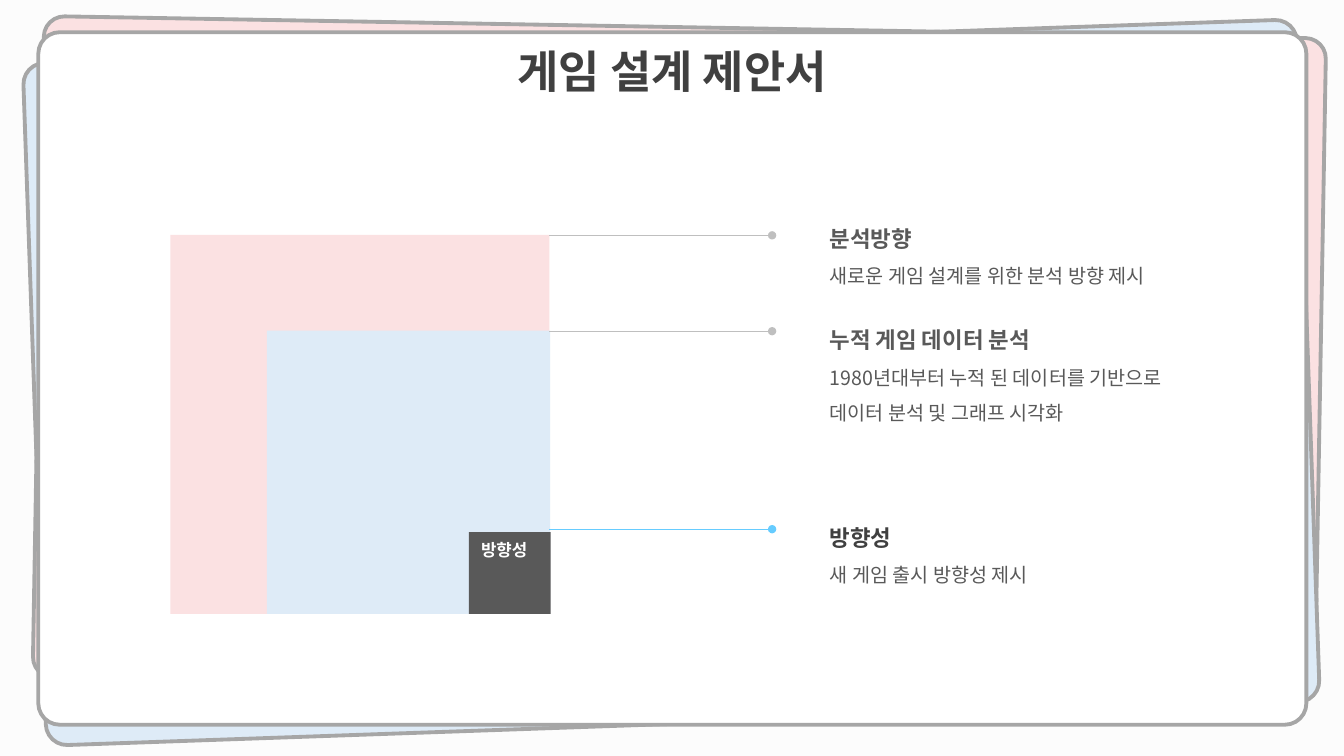
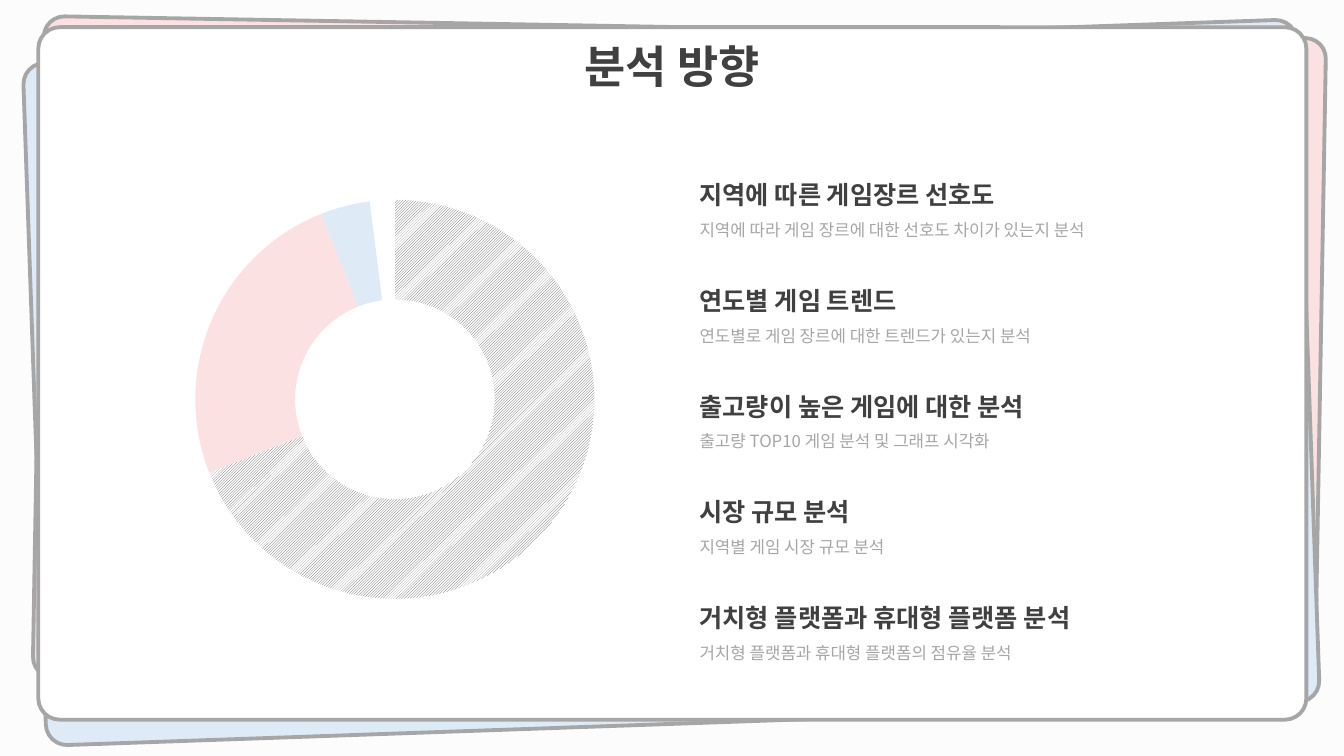
from dataclasses import dataclass

from lxml.etree import SubElement
from pptx import Presentation
from pptx.chart.data import CategoryChartData
from pptx.dml.color import RGBColor
from pptx.enum.chart import XL_CHART_TYPE as ChartType
from pptx.enum.dml import MSO_PATTERN as Pattern
from pptx.enum.shapes import MSO_CONNECTOR as Connector, MSO_SHAPE as Shape
from pptx.enum.text import MSO_ANCHOR as Anchor, MSO_AUTO_SIZE as AutoSize, PP_ALIGN as Align
from pptx.oxml.ns import qn
from pptx.util import Inches, Pt

FONT = "Noto Sans CJK KR"
COLOURS = {
    "page": "FCFCFC", "white": "FFFFFF", "pink": "FBE1E2", "blue": "DEEBF7",
    "edge": "A6A6A6", "ink": "404040", "slate": "595959", "rule": "BFBFBF",
    "sky": "66CCFF", "black": "000000",
}

# Grid of 160 columns by 90 rows
WIDTH, HEIGHT = Inches(13.33), Inches(7.5)
COLUMNS, ROWS = 160, 90


@dataclass(frozen=True)
class Box:
    column: float
    row: float
    columns: float
    rows: float

    def place(self) -> tuple[int, int, int, int]:
        return (across(self.column), down(self.row),
                across(self.columns), down(self.rows))


@dataclass(frozen=True)
class Sheet:
    box: Box
    colour: str
    angle: float


@dataclass(frozen=True)
class Square:
    side: float
    colour: str
    right: float
    label: str = ""


@dataclass(frozen=True)
class Leader:
    row: float
    colour: str


@dataclass(frozen=True)
class Topic:
    heading: str
    details: tuple[str, ...]
    gap: float = 24.6
    colour: str = "ink"


@dataclass(frozen=True)
class ListStyle:
    heading_size: float
    heading_line: float
    detail_size: float
    detail_line: float
    detail_colour: str


BACK_SHEETS = (
    Sheet(Box(4.56, 3.24, 152.64, 78.72), "pink", 1),
    Sheet(Box(4.08, 4.92, 151.68, 81.24), "blue", 358),
)
CORNER = 0.031
TITLE_ROWS = 9.1

SQUARES_BOTTOM = 73.08
SQUARES = (
    Square(45.12, "pink", 65.4),
    Square(33.72, "blue", 65.5),
    Square(9.72, "slate", 65.55, "방향성"),
)
LEADER_START, LEADER_END = 65.4, 91.92
LEADERS = (Leader(28.02, "rule"), Leader(39.43, "rule"), Leader(63, "sky"))

PROPOSAL_STYLE = ListStyle(16, 28, 14, 25.5, "slate")
PROPOSAL = (
    Topic("분석방향", ("새로운 게임 설계를 위한 분석 방향 제시",), 19, "slate"),
    Topic("누적 게임 데이터 분석",
          ("1980년대부터 누적 된 데이터를 기반으로", "데이터 분석 및 그래프 시각화"), 62, "slate"),
    Topic("방향성", ("새 게임 출시 방향성 제시",)),
)

DIRECTION_STYLE = ListStyle(18, 29.5, 12, 21.5, "edge")
DIRECTIONS = (
    Topic("지역에 따른 게임장르 선호도", ("지역에 따라 게임 장르에 대한 선호도 차이가 있는지 분석",)),
    Topic("연도별 게임 트렌드", ("연도별로 게임 장르에 대한 트렌드가 있는지 분석",)),
    Topic("출고량이 높은 게임에 대한 분석", ("출고량 TOP10 게임 분석 및 그래프 시각화",)),
    Topic("시장 규모 분석", ("지역별 게임 시장 규모 분석",)),
    Topic("거치형 플랫폼과 휴대형 플랫폼 분석", ("거치형 플랫폼과 휴대형 플랫폼의 점유율 분석",)),
)
SHARES = (69, 25, 4, 2)
SHARE_COLOURS = (None, "pink", "blue", "white")
RING_LAYOUT = {"x": 0.161, "y": 0.088, "w": 0.677, "h": 0.862}


def across(columns: float) -> int:
    return round(WIDTH * columns / COLUMNS)


def down(rows: float) -> int:
    return round(HEIGHT * rows / ROWS)


def rgb(name: str) -> RGBColor:
    return RGBColor.from_string(COLOURS[name])


def write(paragraph, text: str, *, size: float, colour: str, bold: bool = False,
          line: float | None = None, after: float = 0, align=Align.LEFT) -> None:
    paragraph.alignment = align
    paragraph.space_before, paragraph.space_after = Pt(0), Pt(after)
    if line:
        paragraph.line_spacing = Pt(line)
    run = paragraph.add_run()
    run.text = text
    run.font.name, run.font.size, run.font.bold = FONT, Pt(size), bold
    run.font.color.rgb = rgb(colour)


def draw_shape(slide, kind, box: Box, colour: str, edge: str | None = None):
    shape = slide.shapes.add_shape(kind, *box.place())
    shape.shadow.inherit = False
    shape.fill.solid()
    shape.fill.fore_color.rgb = rgb(colour)
    if edge:
        shape.line.color.rgb = rgb(edge)
        shape.line.width = Pt(2.75)
    else:
        shape.line.fill.background()
    return shape


def draw_sheet(slide, sheet: Sheet) -> None:
    card = draw_shape(slide, Shape.ROUNDED_RECTANGLE, sheet.box, sheet.colour, "edge")
    card.adjustments[0] = CORNER
    card.rotation = sheet.angle


def fit_placeholder(placeholder, box: Box, anchor):
    """Move a placeholder onto the grid, in front of the cards."""
    placeholder.left, placeholder.top, placeholder.width, placeholder.height = box.place()
    placeholder.element.getparent().append(placeholder.element)
    frame = placeholder.text_frame
    frame.word_wrap, frame.auto_size = True, AutoSize.NONE
    frame.vertical_anchor = anchor
    return frame


def start_slide(deck, title: str, card_row: float):
    slide = deck.slides.add_slide(deck.slide_layouts[1])
    front = Box(4.56, card_row, 150.96, 82.44)
    for sheet in (*BACK_SHEETS, Sheet(front, "white", 0)):
        draw_sheet(slide, sheet)
    title_box = Box(front.column, front.row, front.columns, TITLE_ROWS)
    frame = fit_placeholder(slide.shapes.title, title_box, Anchor.MIDDLE)
    write(frame.paragraphs[0], title, size=32, colour="ink", bold=True, align=Align.CENTER)
    return slide


def list_topics(slide, box: Box, topics: tuple[Topic, ...], style: ListStyle) -> None:
    frame = fit_placeholder(slide.placeholders[1], box, Anchor.TOP)
    for topic in topics:
        write(next_paragraph(frame), topic.heading, size=style.heading_size,
              colour=topic.colour, bold=True, line=style.heading_line)
        for detail in topic.details:
            last = detail == topic.details[-1] and topic != topics[-1]
            write(next_paragraph(frame), detail, size=style.detail_size,
                  colour=style.detail_colour, line=style.detail_line,
                  after=topic.gap if last else 0)
    # No bullets or hanging indents
    for properties in slide.placeholders[1].element.iter(qn("a:pPr")):
        properties.set("marL", "0")
        properties.set("indent", "0")
        SubElement(properties, qn("a:buNone"))


def next_paragraph(frame):
    first = frame.paragraphs[0]
    return frame.add_paragraph() if first.runs else first


def draw_square(slide, square: Square) -> None:
    box = Box(square.right - square.side, SQUARES_BOTTOM - square.side,
              square.side, square.side)
    shape = draw_shape(slide, Shape.RECTANGLE, box, square.colour)
    if square.label:
        frame = shape.text_frame
        frame.margin_left, frame.margin_top = Inches(0.12), Inches(0.07)
        frame.vertical_anchor = Anchor.TOP
        write(frame.paragraphs[0], square.label, size=12, colour="white", bold=True)


def draw_leader(slide, leader: Leader) -> None:
    row = down(leader.row)
    rule = slide.shapes.add_connector(
        Connector.STRAIGHT, across(LEADER_START), row, across(LEADER_END), row)
    rule.line.color.rgb = rgb(leader.colour)
    rule.line.width = Pt(0.5)
    properties = rule.element.find(qn("p:spPr"))
    SubElement(properties.find(qn("a:ln")), qn("a:tailEnd"), type="oval")
    SubElement(properties, qn("a:effectLst"))


def draw_ring(slide, box: Box) -> None:
    shares = CategoryChartData()
    shares.categories = [str(number + 1) for number in range(len(SHARES))]
    shares.add_series("Series 1", SHARES)
    ring = slide.shapes.add_chart(ChartType.DOUGHNUT, *box.place(), shares).chart
    ring.has_legend = ring.has_title = False
    ring.font.name, ring.font.size = FONT, Pt(10)
    ring.font.color.rgb = rgb("black")
    ring.plots[0].vary_by_categories = False

    for index, colour in enumerate(SHARE_COLOURS):
        sector = ring.plots[0].series[0].points[index].format
        sector.line.fill.background()
        if colour:
            sector.fill.solid()
            sector.fill.fore_color.rgb = rgb(colour)
        else:
            sector.fill.patterned()
            sector.fill.pattern = Pattern.LIGHT_UPWARD_DIAGONAL
            sector.fill.fore_color.rgb = rgb("slate")
            sector.fill.back_color.rgb = rgb("white")

    # Fixed place of the ring inside its frame
    plot_area = next(ring.element.iter(qn("c:plotArea")))
    for automatic in plot_area.findall(qn("c:layout")):
        plot_area.remove(automatic)
    layout = SubElement(plot_area, qn("c:layout"))
    plot_area.insert(0, layout)
    manual = SubElement(layout, qn("c:manualLayout"))
    SubElement(manual, qn("c:layoutTarget"), val="inner")
    for axis in "xy":
        SubElement(manual, qn(f"c:{axis}Mode"), val="edge")
    for key, share in RING_LAYOUT.items():
        SubElement(manual, qn(f"c:{key}"), val=str(share))


def set_korean_font(slide) -> None:
    for latin in list(slide.element.iter(qn("a:latin"))):
        korean = SubElement(latin.getparent(), qn("a:ea"), typeface=FONT)
        latin.addnext(korean)


def main() -> None:
    deck = Presentation()
    deck.slide_width, deck.slide_height = WIDTH, HEIGHT
    page = deck.slide_master.background.fill
    page.solid()
    page.fore_color.rgb = rgb("page")

    # Proposal: nested squares with leaders to their topics
    proposal = start_slide(deck, "게임 설계 제안서", 3.84)
    for square in SQUARES:
        draw_square(proposal, square)
    for leader in LEADERS:
        draw_leader(proposal, leader)
    list_topics(proposal, Box(97.56, 24.7, 48.72, 46), PROPOSAL, PROPOSAL_STYLE)

    # Directions of analysis: ring and list
    analysis = start_slide(deck, "분석 방향", 3.24)
    list_topics(analysis, Box(82.08, 19.42, 56.04, 60), DIRECTIONS, DIRECTION_STYLE)
    draw_ring(analysis, Box(11.95, 18.9, 70.2, 55.2))

    for slide in deck.slides:
        set_korean_font(slide)
    deck.save("out.pptx")


if __name__ == "__main__":
    main()
